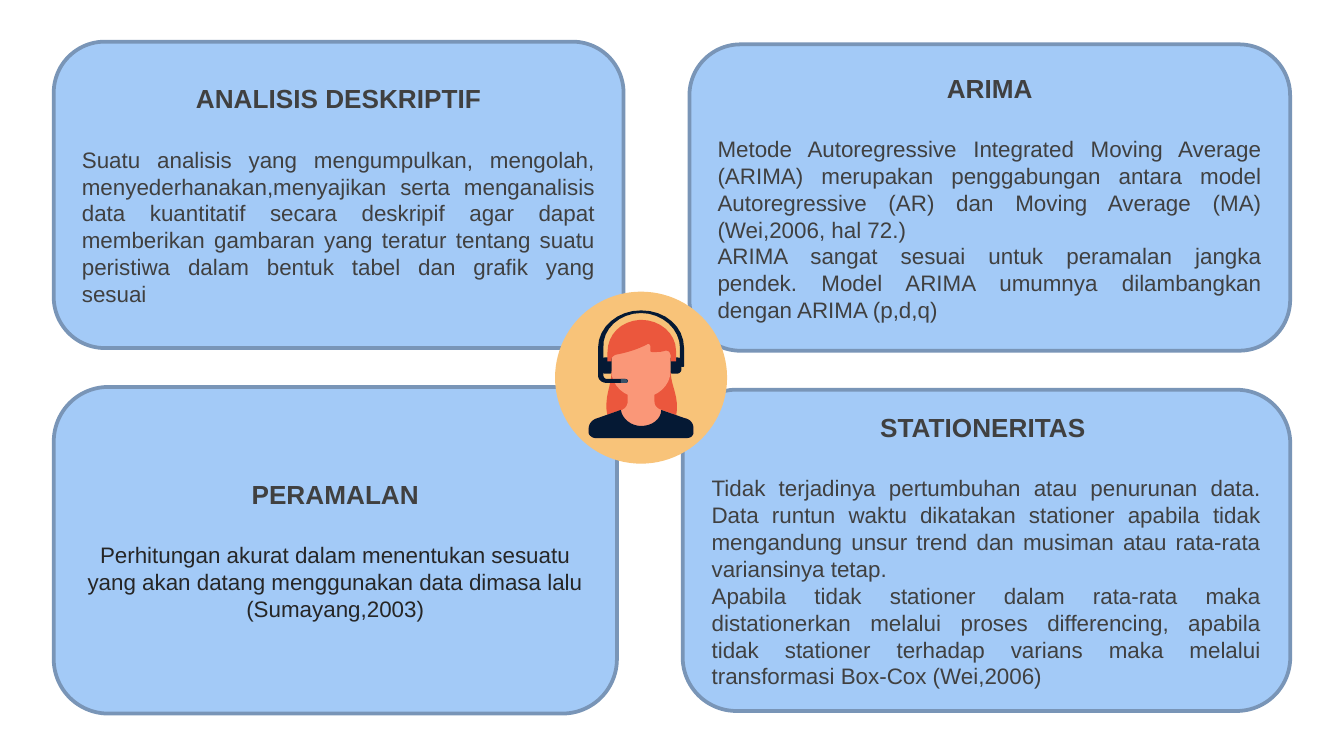
from pptx import Presentation
from pptx.dml.color import RGBColor
from pptx.enum.shapes import MSO_SHAPE as Shape
from pptx.enum.text import MSO_ANCHOR as Anchor, PP_ALIGN as Align
from pptx.util import Inches, Pt

BLUE = RGBColor(0xA3, 0xCA, 0xF7)
EDGE = RGBColor(0x79, 0x95, 0xB7)
GREY = RGBColor(0x40, 0x40, 0x40)
DARK = RGBColor(0x26, 0x26, 0x26)
GOLD = RGBColor(0xF8, 0xC3, 0x79)
RED = RGBColor(0xEB, 0x57, 0x3D)
SKIN = RGBColor(0xFA, 0x97, 0x78)
NAVY = RGBColor(0x05, 0x19, 0x34)
SLATE = RGBColor(0x39, 0x51, 0x68)

# Left, top, width, height, title, body paragraphs, body alignment and colour
CARDS = [
    (0.4, 0.31, 4.24, 2.28, "ANALISIS DESKRIPTIF", [
        "Suatu analisis yang mengumpulkan, mengolah, "
        "menyederhanakan,menyajikan serta menganalisis data kuantitatif "
        "secara deskripif agar dapat memberikan gambaran yang teratur "
        "tentang suatu peristiwa dalam bentuk tabel dan grafik yang sesuai",
    ], Align.JUSTIFY, GREY),
    (0.4, 2.88, 4.19, 2.43, "PERAMALAN", [
        "Perhitungan akurat dalam menentukan sesuatu yang akan datang "
        "menggunakan data dimasa lalu",
        "(Sumayang,2003)",
    ], Align.CENTER, DARK),
    (5.13, 0.33, 4.47, 2.28, "ARIMA", [
        "Metode Autoregressive Integrated Moving Average (ARIMA) merupakan "
        "penggabungan antara model Autoregressive (AR) dan Moving Average "
        "(MA) (Wei,2006, hal 72.)",
        "ARIMA sangat sesuai untuk peramalan jangka pendek. Model ARIMA "
        "umumnya dilambangkan dengan ARIMA (p,d,q)",
    ], Align.JUSTIFY, GREY),
    (5.08, 2.9, 4.52, 2.39, "STATIONERITAS ", [
        "Tidak terjadinya pertumbuhan atau penurunan data. Data runtun waktu "
        "dikatakan stationer apabila tidak mengandung unsur trend dan musiman "
        "atau rata-rata variansinya tetap.",
        "Apabila tidak stationer dalam rata-rata maka distationerkan melalui "
        "proses differencing, apabila tidak stationer terhadap varians maka "
        "melalui transformasi Box-Cox (Wei,2006)",
    ], Align.JUSTIFY, GREY),
]

# Outlines in hundredths of an inch: a pair is a line, six numbers a curve
HEM = [(445, 311), (441, 312, 438, 315, 438, 319), (438, 322),
       (438, 324, 441, 326, 443, 326), (511, 326),
       (514, 326, 516, 324, 516, 322), (516, 319),
       (516, 315, 514, 312, 509, 311), (492, 305)]
LOCKS = [(455, 276), (455, 288, 449, 295, 452, 310), (503, 310),
         (506, 295, 499, 288, 499, 276)]
NECK = [(467, 290), (467, 299), (467, 302, 465, 304, 463, 305), *HEM,
        (489, 304, 487, 302, 487, 299), (487, 290)]
SHIRT = [(462, 305), *HEM, (492, 312, 485, 317, 477, 317),
         (470, 317, 463, 312, 462, 305)]
FACE = [(455, 255), (455, 276), (455, 287, 465, 296, 477, 296),
        (489, 296, 499, 287, 499, 276), (499, 255)]
BAND = [(477, 231), (460, 231, 445, 243, 445, 259), (445, 279),
        (445, 283, 448, 285, 452, 285), (465, 285),
        (468, 285, 468, 282, 465, 282), (452, 282),
        (450, 282, 449, 281, 449, 279), (449, 259),
        (448, 245, 461, 233, 477, 233), (493, 233, 506, 245, 506, 259),
        (506, 272), (506, 273, 507, 273, 508, 273),
        (509, 273, 509, 273, 509, 272), (509, 259),
        (509, 243, 495, 231, 477, 231)]
CUP = [(450, 266), (448, 266, 447, 267, 447, 269), (447, 275),
       (447, 276, 448, 278, 450, 278), (454, 278),
       (455, 278, 455, 277, 455, 276), (455, 267),
       (455, 266, 455, 266, 454, 266)]
MIC = [(462, 282), (462, 285), (465, 285), (466, 285, 467, 285, 467, 284),
       (467, 283, 466, 282, 465, 282)]
FRINGE = [(477, 238), (476, 238), (462, 239, 452, 249, 452, 262), (452, 269),
          (455, 269), (455, 267), (455, 266, 456, 265, 458, 264),
          (464, 263, 475, 260, 482, 256), (483, 256),
          (483, 256, 484, 257, 484, 258), (484, 261),
          (484, 262, 485, 262, 486, 262), (489, 262, 492, 262, 495, 261),
          (496, 261), (498, 261, 499, 263, 499, 265), (499, 269),
          (503, 269), (503, 261), (503, 248, 491, 238, 477, 238)]


def flip(path):
    """Mirror an outline about the middle of the face."""
    return [tuple(954 - n if i % 2 == 0 else n for i, n in enumerate(step))
            for step in path]


def trace(path, parts=8):
    """Turn lines and Bezier curves into a list of points."""
    pts = [path[0]]
    for step in path[1:]:
        if len(step) == 2:
            pts.append(step)
            continue
        ends = [pts[-1], step[:2], step[2:4], step[4:]]
        for i in range(1, parts + 1):
            t = i / parts
            u = 1 - t
            mix = (u ** 3, 3 * u * u * t, 3 * u * t * t, t ** 3)
            pts.append(tuple(sum(m * p[k] for m, p in zip(mix, ends))
                             for k in (0, 1)))
    return [(Inches(x / 100), Inches(y / 100)) for x, y in pts]


def write(para, text, size=12, color=GREY, bold=False, align=Align.CENTER,
          gap=0):
    para.alignment = align
    para.space_before = Pt(gap)
    run = para.add_run()
    run.text = text
    font = run.font
    font.name, font.size, font.bold = "Arial", Pt(size), bold
    font.color.rgb = color


class Deck:
    def __init__(self):
        self.prs = Presentation()
        self.prs.slide_width = Inches(10)
        self.prs.slide_height = Inches(10 * 9 / 16)
        self.slide = self.prs.slides.add_slide(self.prs.slide_layouts[6])

    def paint(self, shape, fill, line=None):
        shape.shadow.inherit = False
        shape.fill.solid()
        shape.fill.fore_color.rgb = fill
        if line is None:
            shape.line.fill.background()
        else:
            shape.line.color.rgb = line
            shape.line.width = Pt(2)

    def card(self, x, y, w, h, title, body, align, color):
        box = self.slide.shapes.add_shape(
            Shape.ROUNDED_RECTANGLE, *map(Inches, (x, y, w, h)))
        self.paint(box, BLUE, EDGE)
        frame = box.text_frame
        frame.word_wrap = True
        frame.vertical_anchor = Anchor.MIDDLE
        write(frame.paragraphs[0], title, size=14, bold=True)
        for i, text in enumerate(body):
            write(frame.add_paragraph(), text, color=color, align=align,
                  gap=0 if i else 17)

    def disc(self, group, x, y, size, fill):
        self.paint(group.shapes.add_shape(
            Shape.OVAL, *map(Inches, (x, y, size, size))), fill)

    def outline(self, group, path, fill):
        start, *rest = trace(path)
        form = group.shapes.build_freeform(*start)
        form.add_line_segments(rest, close=True)
        self.paint(form.convert_to_shape(), fill)

    def agent(self):
        group = self.slide.shapes.add_group_shape()
        self.disc(group, 4.13, 2.17, 1.28, GOLD)
        for path, fill in [(LOCKS, RED), (NECK, SKIN), (SHIRT, NAVY),
                           (FACE, SKIN), (BAND, NAVY), (CUP, NAVY),
                           (flip(CUP), NAVY), (MIC, SLATE), (FRINGE, RED)]:
            self.outline(group, path, fill)


def main():
    deck = Deck()
    for card in CARDS:
        deck.card(*card)
    deck.agent()
    deck.prs.save("out.pptx")


if __name__ == "__main__":
    main()
